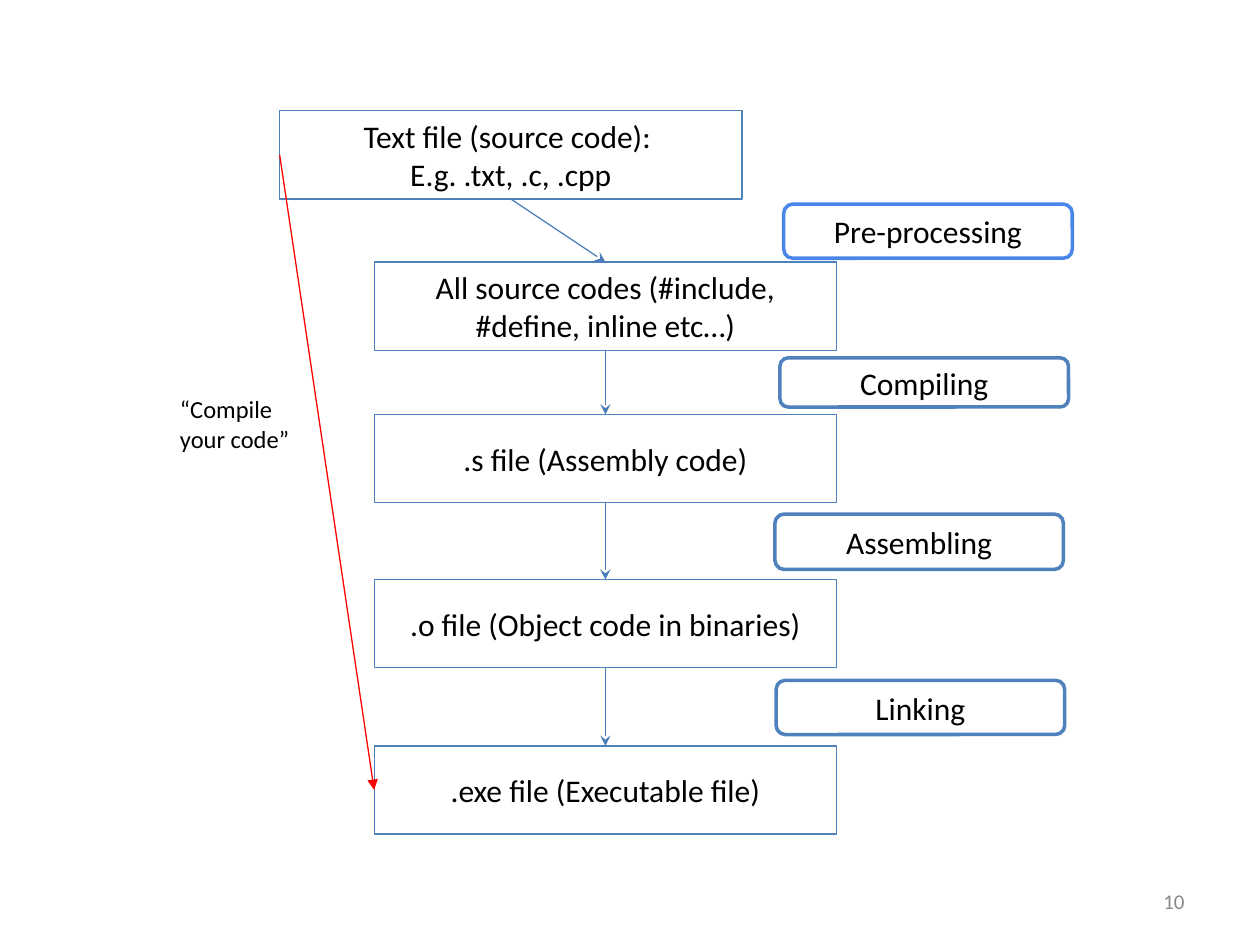
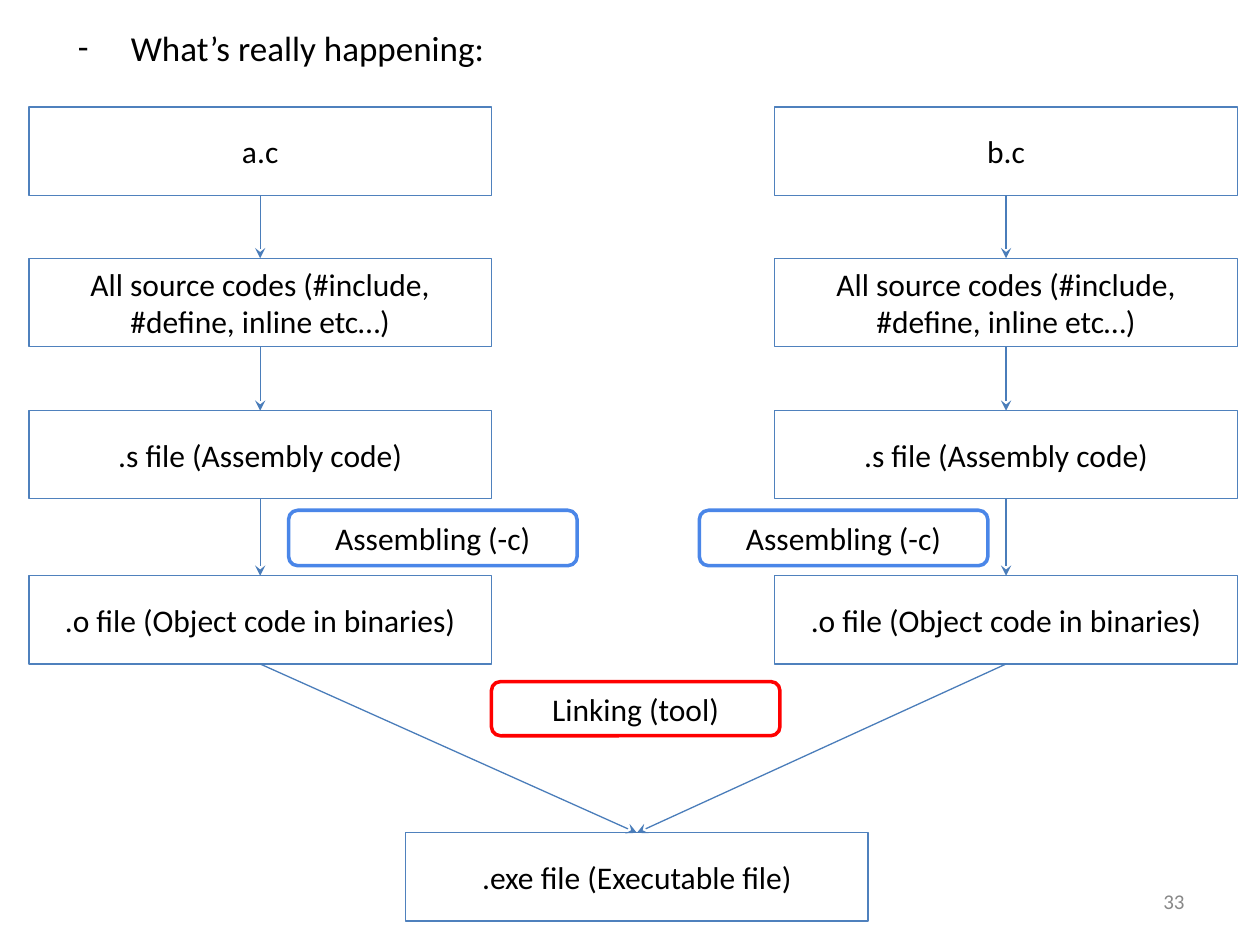
"""Build two slides that show how C source files become an executable."""
from lxml.etree import SubElement
from pptx import Presentation
from pptx.dml.color import RGBColor
from pptx.enum.shapes import MSO_CONNECTOR, MSO_SHAPE
from pptx.enum.text import MSO_ANCHOR, PP_ALIGN
from pptx.oxml.ns import qn
from pptx.util import Inches, Pt

COLORS = {"text": "000000", "fill": "FFFFFF", "edge": "4F81BD", "arrow": "4A7DBA",
          "bright": "4A86E8", "red": "FF0000", "number": "888888"}
RGB = {name: RGBColor.from_string(value) for name, value in COLORS.items()}
FONT = "Calibri"
FRAME = {"word_wrap": True, "vertical_anchor": MSO_ANCHOR.MIDDLE,
         "margin_left": Inches(0.1), "margin_right": Inches(0.1),
         "margin_top": Inches(0.05), "margin_bottom": Inches(0.05)}
TOP = {"vertical_anchor": MSO_ANCHOR.TOP}
UP, LEFT, DOWN = 0, 1, 2

prs = Presentation()
prs.slide_width, prs.slide_height = Inches(10), Inches(7.5)
COL, ROW = prs.slide_width / 100, prs.slide_height / 75
BOX_W, BOX_H, LABEL_W = 36.7, 7, 22.9
STEPS = [0, 12, 24.1, 37.2, 50.4]
STAGES = ["All source codes (#include, #define, inline etc…)", ".s file (Assembly code)",
          ".o file (Object code in binaries)"]
EXE = ".exe file (Executable file)"


def add_box(s, text, x, y, w, h, edge=None, kind=MSO_SHAPE.RECTANGLE, weight=0.75,
            size=18, color="text", align=PP_ALIGN.CENTER, frame={}):
    at = [int(x * COL), int(y * ROW), int(w * COL), int(h * ROW)]
    if edge:
        sp = s.shapes.add_shape(kind, *at)
        sp.shadow.inherit = False
        sp.fill.solid()
        sp.fill.fore_color.rgb = RGB["fill"]
        sp.line.color.rgb = RGB[edge]
        sp.line.width = Pt(weight)
    else:
        sp = s.shapes.add_textbox(*at)
    tf = sp.text_frame
    for name, value in {**FRAME, **frame}.items():
        setattr(tf, name, value)
    tf.text = text
    for p in tf.paragraphs:
        p.alignment = align
        for r in p.runs:
            for name, value in {"name": FONT, "size": Pt(size)}.items():
                setattr(r.font, name, value)
            r.font.color.rgb = RGB[color]
    return sp


def add_arrow(s, start, start_site, end, end_site=UP, color="arrow", head="stealth"):
    line = s.shapes.add_connector(MSO_CONNECTOR.STRAIGHT, 0, 0, 0, 0)
    line.begin_connect(start, start_site)
    line.end_connect(end, end_site)
    line.line.color.rgb = RGB[color]
    line.line.width = Pt(0.75)
    props = line.element.spPr
    SubElement(props.find(qn("a:ln")), qn("a:tailEnd"), type=head)
    SubElement(props, qn("a:effectLst"))


label = {"kind": MSO_SHAPE.ROUNDED_RECTANGLE, "weight": 2}
slides = []
for number in ["10", "33"]:
    s = prs.slides.add_slide(prs.slide_layouts[6])
    add_box(s, number, 71.7, 69.5, 23.3, 4, size=12, color="number", align=PP_ALIGN.RIGHT)
    slides.append(s)
single, double = slides

source = "Text file (source code): \nE.g. .txt, .c, .cpp"
chain = [add_box(single, text, 22.2 if text == source else 29.7, 8.8 + step, BOX_W, BOX_H, "edge")
         for text, step in zip([source, *STAGES, EXE], STEPS)]
for text, x, y, h, edge in [("Pre-processing", 62.2, 16.2, 4.3, "bright"),
                            ("Compiling", 61.9, 28.4, 3.9, "edge"),
                            ("Assembling", 61.5, 40.8, 4.4, "edge"),
                            ("Linking", 61.6, 54, 4.3, "edge")]:
    add_box(single, text, x, y, LABEL_W, h, edge, **label)
for start, end in zip(chain, chain[1:]):
    add_arrow(single, start, DOWN, end)
add_arrow(single, chain[0], LEFT, chain[-1], LEFT, "red", "triangle")
add_box(single, "“Compile your code”", 13.3, 30.3, 10.8, 6.7, size=14, align=PP_ALIGN.LEFT,
        frame={**TOP, "margin_top": Inches(0.1), "margin_bottom": Inches(0.1)})

heading = add_box(double, "What’s really happening:", 4.4, 1.6, 92.7, 5, size=20,
                  align=PP_ALIGN.LEFT, frame=TOP)
props = heading.text_frame.paragraphs[0]._p.get_or_add_pPr()
props.set("marL", str(Inches(0.5)))
props.set("indent", str(Inches(-0.42)))
SubElement(props, qn("a:buFont"), typeface=FONT)
SubElement(props, qn("a:buChar"), char="-")
exe = add_box(double, EXE, 32.2, 66.1, BOX_W, BOX_H, "edge")
for name, x, label_x in [("a.c", 2.3, 22.9), ("b.c", 61.5, 55.5)]:
    chain = [add_box(double, text, x, 8.5 + step, BOX_W, BOX_H, "edge")
             for text, step in zip([name, *STAGES], STEPS)]
    for start, end in zip(chain, [*chain[1:], exe]):
        add_arrow(double, start, DOWN, end)
    add_box(double, "Assembling (-c)", label_x, 40.5, LABEL_W, 4.4, "bright", **label)
add_box(double, "Linking (tool)", 39, 54.1, LABEL_W, 4.3, "red", **label)

prs.save("out.pptx")
